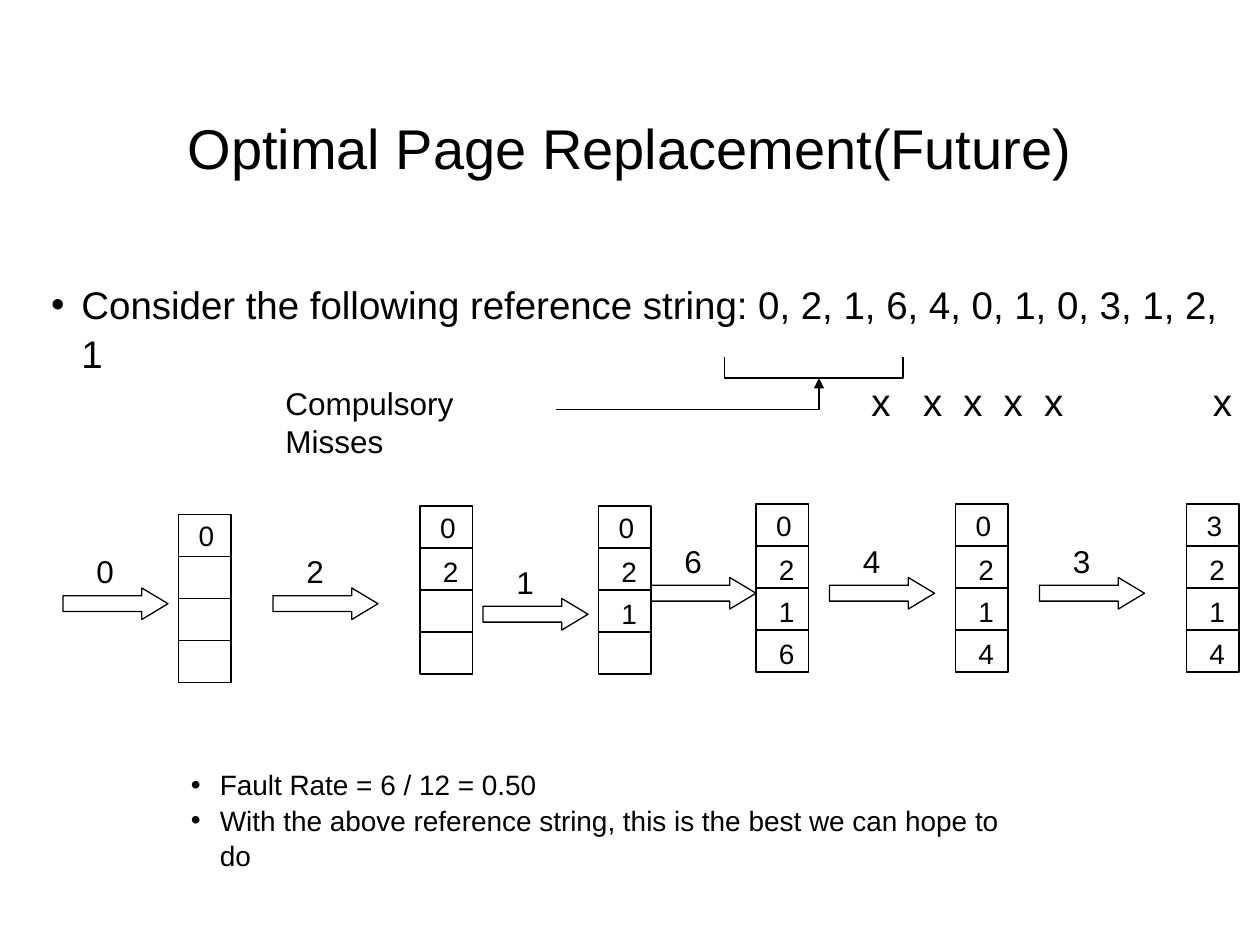
from pptx import Presentation
from pptx import util as u
from pptx.dml import color
from pptx.enum import shapes, text
from pptx.oxml import ns
from lxml import etree

COLORS = {"ink": "000000", "paper": "FFFFFF"}
COLS, ROWS = 120, 90
SLOT_W, SLOT_H, SLOTS = 5, 4, 4
MISS_TABS = (6.51, 6.92, 7.24, 7.56, 7.88, 9.22)
STEPS = [
    ("0", 6, 56, 17, 49, "0"),
    ("2", 26, 56, 40, 48.2, "02"),
    ("1", 46, 57, 57, 48.2, "021"),
    ("6", 62, 55, 72, 48, "0216"),
    ("4", 79, 55, 91, 48, "0214"),
    ("3", 99, 55, 113, 48, "3214"),
]


def rgb(name):
    return color.RGBColor.from_string(COLORS[name])


def add_xml(parent, tag, **attrs):
    return etree.SubElement(parent, ns.qn(tag), attrs)


def write(p, content, size=16, align=text.PP_ALIGN.LEFT, bullet=0, tabs=(), spacing=None):
    p.alignment = align
    if spacing:
        p.line_spacing = spacing
    pPr = p._p.get_or_add_pPr()
    if bullet:
        pPr.set("marL", str(u.Inches(bullet)))
        pPr.set("indent", str(-u.Inches(bullet)))
        add_xml(pPr, "a:buFont", typeface="Arial")
        add_xml(pPr, "a:buChar", char="•")
    if tabs:
        stops = add_xml(pPr, "a:tabLst")
        for tab in tabs:
            add_xml(stops, "a:tab", pos=str(u.Inches(tab)), algn="l")
    r = p.add_run()
    r.text = content
    r.font.name = "Arial"
    r.font.size = u.Pt(size)
    r.font.color.rgb = rgb("ink")


class Board:
    def __init__(self, prs):
        self.s = prs.slides.add_slide(prs.slide_layouts[6])
        self.s.background.fill.solid()
        self.s.background.fill.fore_color.rgb = rgb("paper")
        self.dx = prs.slide_width / COLS
        self.dy = prs.slide_height / ROWS

    def place(self, *cells):
        return [round(c * (self.dx, self.dy)[i % 2]) for i, c in enumerate(cells)]

    def outline(self, sp):
        sp.line.color.rgb = rgb("ink")
        sp.line.width = u.Pt(0.75)

    def text(self, col, row, w, h, *paragraphs, wrap=False, anchor=text.MSO_ANCHOR.TOP):
        tf = self.s.shapes.add_textbox(*self.place(col, row, w, h)).text_frame
        tf.word_wrap = wrap
        tf.vertical_anchor = anchor
        for i, (content, style) in enumerate(paragraphs):
            write(tf.add_paragraph() if i else tf.paragraphs[0], content, **style)

    def shape(self, kind, col, row, w, h):
        sp = self.s.shapes.add_shape(kind, *self.place(col, row, w, h))
        sp.shadow.inherit = False
        sp.fill.background()
        self.outline(sp)
        return sp

    def line(self, x1, y1, x2, y2, arrow=False):
        sp = self.s.shapes.add_connector(
            shapes.MSO_CONNECTOR.STRAIGHT, *self.place(x1, y1, x2, y2))
        self.outline(sp)
        if arrow:
            add_xml(sp.line._get_or_add_ln(), "a:tailEnd", type="triangle")
        add_xml(sp._element.spPr, "a:effectLst")

    def bracket(self, left, top, right, bottom):
        points = [(right, top), (right, bottom), (left, bottom), (left, top)]
        start, *rest = [self.place(*pt) for pt in points]
        fb = self.s.shapes.build_freeform(*start)
        fb.add_line_segments(rest, close=False)
        sp = fb.convert_to_shape()
        sp.shadow.inherit = False
        sp.fill.background()
        self.outline(sp)

    def frames(self, col, row, pages):
        self.shape(shapes.MSO_SHAPE.RECTANGLE, col, row, SLOT_W, SLOT_H * SLOTS)
        for i in range(1, SLOTS):
            y = row + i * SLOT_H
            self.line(col, y, col + SLOT_W, y)
        for i, page in enumerate(pages):
            dx, dy = (1, 0) if i else (0.75, -0.2)
            self.text(col + dx, row + i * SLOT_H + dy, 3.8, 4.4, (page, {}))

    def request(self, col, row, page):
        sp = self.shape(shapes.MSO_SHAPE.RIGHT_ARROW, col, row, 10, 3)
        sp.adjustments[0] = 0.5
        sp.adjustments[1] = 0.83
        self.text(col + 2, row - 4, 4, 4.8, (page, {"size": 18}))


def main():
    prs = Presentation()
    prs.slide_width, prs.slide_height = u.Inches(10), u.Inches(7.5)
    b = Board(prs)
    b.text(9, 9, 102, 10,
           ("Optimal Page Replacement(Future)",
            {"size": 32, "align": text.PP_ALIGN.CENTER}),
           wrap=True, anchor=text.MSO_ANCHOR.MIDDLE)
    b.text(3.7, 26, 115, 10,
           ("Consider the following reference string: 0, 2, 1, 6, 4, 0, 1, 0, 3, 1, 2, 1",
            {"size": 22, "bullet": 0.24, "spacing": 1.05}),
           ("\tx" * len(MISS_TABS), {"size": 22, "tabs": MISS_TABS, "spacing": 1.05}),
           wrap=True)
    b.bracket(69, 34, 86, 36)
    b.line(78, 39, 78, 36, arrow=True)
    b.line(78, 39, 53, 39)
    b.text(26, 36, 28.5, 4.8, ("Compulsory Misses", {"size": 18}))
    for page, arrow_col, arrow_row, col, row, pages in STEPS:
        b.request(arrow_col, arrow_row, page)
        b.frames(col, row, pages)
    note = {"bullet": 0.23, "spacing": 1.05}
    b.text(17, 72.4, 81.2, 7.7,
           ("Fault Rate = 6 / 12 = 0.50", note),
           ("With the above reference string, this is the best we can hope to do", note),
           wrap=True)
    prs.save("out.pptx")


if __name__ == "__main__":
    main()
